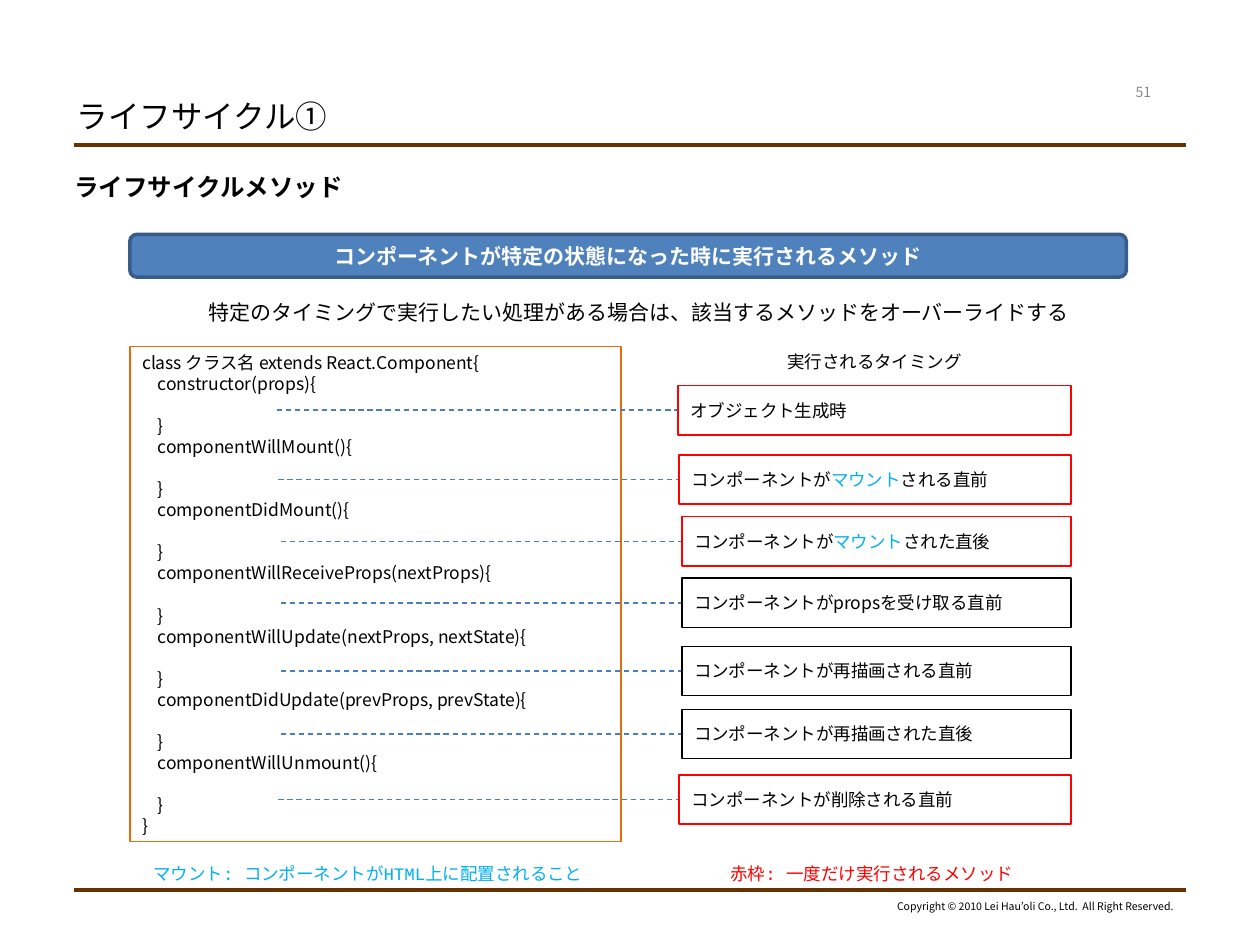
import pptx
import pptx.dml.color
import pptx.enum.dml
import pptx.enum.shapes
import pptx.enum.text
import pptx.oxml.ns
import pptx.util
from lxml import etree

Inches = pptx.util.Inches
Pt = pptx.util.Pt
Align = pptx.enum.text.PP_ALIGN
Anchor = pptx.enum.text.MSO_ANCHOR
Shapes = pptx.enum.shapes.MSO_SHAPE
qn = pptx.oxml.ns.qn

SANS = "Noto Sans CJK JP"
MONO = "Courier New"
BLACK, RED, SKY, WHITE = "000000", "FF0000", "00B0F0", "FFFFFF"
BROWN = "663300"

METHODS = [
    "constructor(props)",
    "componentWillMount()",
    "componentDidMount()",
    "componentWillReceiveProps(nextProps)",
    "componentWillUpdate(nextProps, nextState)",
    "componentDidUpdate(prevProps, prevState)",
    "componentWillUnmount()",
]
TIMINGS = [
    (5.38, 3.06, RED, ["オブジェクト生成時"]),
    (5.39, 3.61, RED, ["コンポーネントが", "マウント", "される直前"]),
    (5.41, 4.10, RED, ["コンポーネントが", "マウント", "された直後"]),
    (5.41, 4.59, BLACK, ["コンポーネントがpropsを受け取る直前"]),
    (5.41, 5.13, BLACK, ["コンポーネントが再描画される直前"]),
    (5.41, 5.63, BLACK, ["コンポーネントが再描画された直後"]),
    (5.39, 6.15, RED, ["コンポーネントが削除される直前"]),
]
TIMING_RIGHT = 8.5
TIMING_HEIGHT = 0.39
LEADER_LENGTH = 3.18


def rgb(value):
    return pptx.dml.color.RGBColor.from_string(value)


def write(shape, lines, size, color=BLACK, font=SANS, bold=False,
          align=Align.LEFT, anchor=Anchor.TOP, wrap=True):
    frame = shape.text_frame
    frame.word_wrap = wrap
    frame.vertical_anchor = anchor
    for index, pieces in enumerate(lines):
        paragraph = frame.paragraphs[0] if index == 0 else frame.add_paragraph()
        paragraph.alignment = align
        paragraph.font.size = Pt(size)
        paragraph.font.bold = bold
        paragraph.font.name = font
        paragraph.font.color.rgb = rgb(color)
        properties = paragraph.font._element
        etree.SubElement(properties, qn("a:ea")).set("typeface", SANS)
        for piece in pieces:
            run = paragraph.add_run()
            run.text = piece
            if piece == "マウント":
                run.font.color.rgb = rgb(SKY)


def add_text(slide, box, text, size, **style):
    shape = slide.shapes.add_textbox(*map(Inches, box))
    write(shape, [[text]], size, **style)


def add_box(slide, kind, box, fill, line, width):
    shape = slide.shapes.add_shape(kind, *map(Inches, box))
    shape.shadow.inherit = False
    if fill:
        shape.fill.solid()
        shape.fill.fore_color.rgb = rgb(fill)
    else:
        shape.fill.background()
    shape.line.color.rgb = rgb(line)
    shape.line.width = Pt(width)
    return shape


def add_line(slide, start, end, color, width, dashed=False):
    connector = slide.shapes.add_connector(
        pptx.enum.shapes.MSO_CONNECTOR.STRAIGHT, *map(Inches, start + end))
    connector.line.color.rgb = rgb(color)
    connector.line.width = Pt(width)
    if dashed:
        connector.line.dash_style = pptx.enum.dml.MSO_LINE.DASH
    etree.SubElement(connector._element.spPr, qn("a:effectLst"))


def add_header(slide, left, top, width):
    add_text(slide, (left - 0.08, top, 6.62, 0.32), "ライフサイクル①", 18,
             anchor=Anchor.MIDDLE)
    add_text(slide, (left + width - 0.63, top - 0.15, 0.59, 0.24), "51", 8,
             color="898989", align=Align.CENTER, anchor=Anchor.MIDDLE)
    rule = top + 0.39
    add_line(slide, (left, rule), (left + width, rule), BROWN, 2.25)


def add_footer(slide, left, top, width):
    add_line(slide, (left, top), (left + width, top), BROWN, 2.25)
    add_text(slide, (left + width - 2.42, top + 0.03, 2.42, 0.2),
             "Copyright © 2010 Lei Hau’oli Co., Ltd.  All Right Reserved.", 6,
             align=Align.RIGHT, wrap=False)


def add_introduction(slide, left, top, width):
    add_text(slide, (left - 0.54, top - 0.54, 9, 0.4), "ライフサイクルメソッド",
             14, bold=True)
    banner = add_box(slide, Shapes.ROUNDED_RECTANGLE, (left, top, width, 0.34),
                     "4F81BD", "385D8A", 2)
    write(banner, [["コンポーネントが特定の状態になった時に実行されるメソッド"]], 12,
          color=WHITE, bold=True, align=Align.CENTER, anchor=Anchor.MIDDLE)
    add_text(slide, (left + 0.53, top + 0.47, 7.03, 0.3),
             "特定のタイミングで実行したい処理がある場合は、該当するメソッドをオーバーライドする",
             12, font=MONO, wrap=False)


def add_code(slide, left, top, width, height):
    lines = ["class クラス名 extends React.Component{"]
    for method in METHODS:
        lines += [f"    {method}{{", "        ", "    }"]
    lines.append("}")
    shape = add_box(slide, Shapes.RECTANGLE, (left, top, width, height),
                    None, "E46C0A", 1)
    write(shape, [[line] for line in lines], 10, anchor=Anchor.MIDDLE)


def add_timings(slide, left, top):
    add_text(slide, (left, top, 1.58, 0.27), "実行されるタイミング", 10,
             font=MONO, wrap=False)
    for box_left, box_top, border, pieces in TIMINGS:
        middle = box_top + TIMING_HEIGHT / 2
        add_line(slide, (box_left - LEADER_LENGTH, middle), (box_left, middle),
                 "4A7EBB", 0.75, dashed=True)
        box = (box_left, box_top, TIMING_RIGHT - box_left, TIMING_HEIGHT)
        shape = add_box(slide, Shapes.RECTANGLE, box, WHITE, border, 1)
        write(shape, [pieces], 10, anchor=Anchor.MIDDLE)


def add_legend(slide, left, top):
    add_text(slide, (left, top, 4, 0.27),
             "マウント: コンポーネントがHTML上に配置されること", 10,
             color=SKY, font=MONO)
    add_text(slide, (left + 4.58, top, 2.7, 0.27),
             "赤枠: 一度だけ実行されるメソッド", 10,
             color=RED, font=MONO)


def main():
    presentation = pptx.Presentation()
    presentation.slide_width = Inches(10)
    presentation.slide_height = Inches(7.5)
    slide = presentation.slides.add_slide(presentation.slide_layouts[6])
    add_header(slide, 0.59, 0.76, 8.82)
    add_footer(slide, 0.59, 7.06, 8.82)
    add_introduction(slide, 1.03, 1.86, 7.91)
    add_code(slide, 1.03, 2.75, 3.9, 3.93)
    add_timings(slide, 6.15, 2.74)
    add_legend(slide, 1.12, 6.8)
    presentation.save("out.pptx")


if __name__ == "__main__":
    main()
